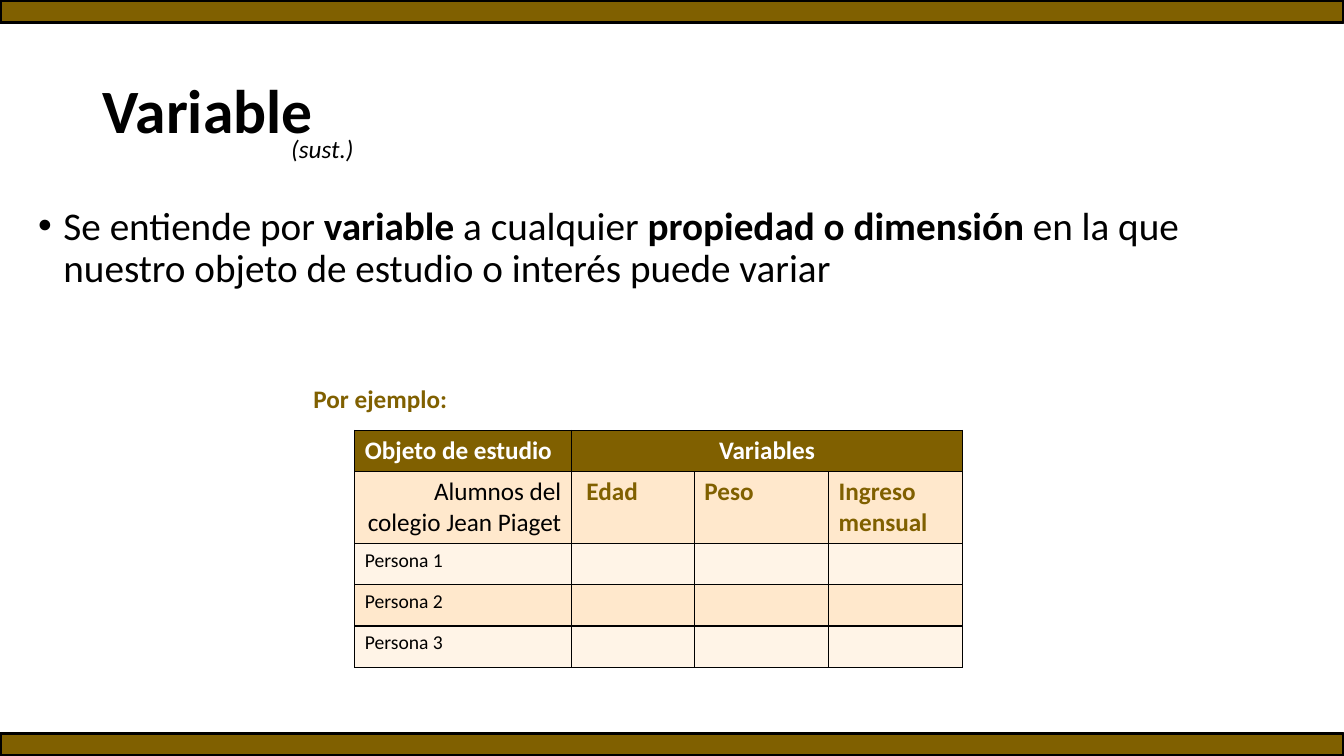
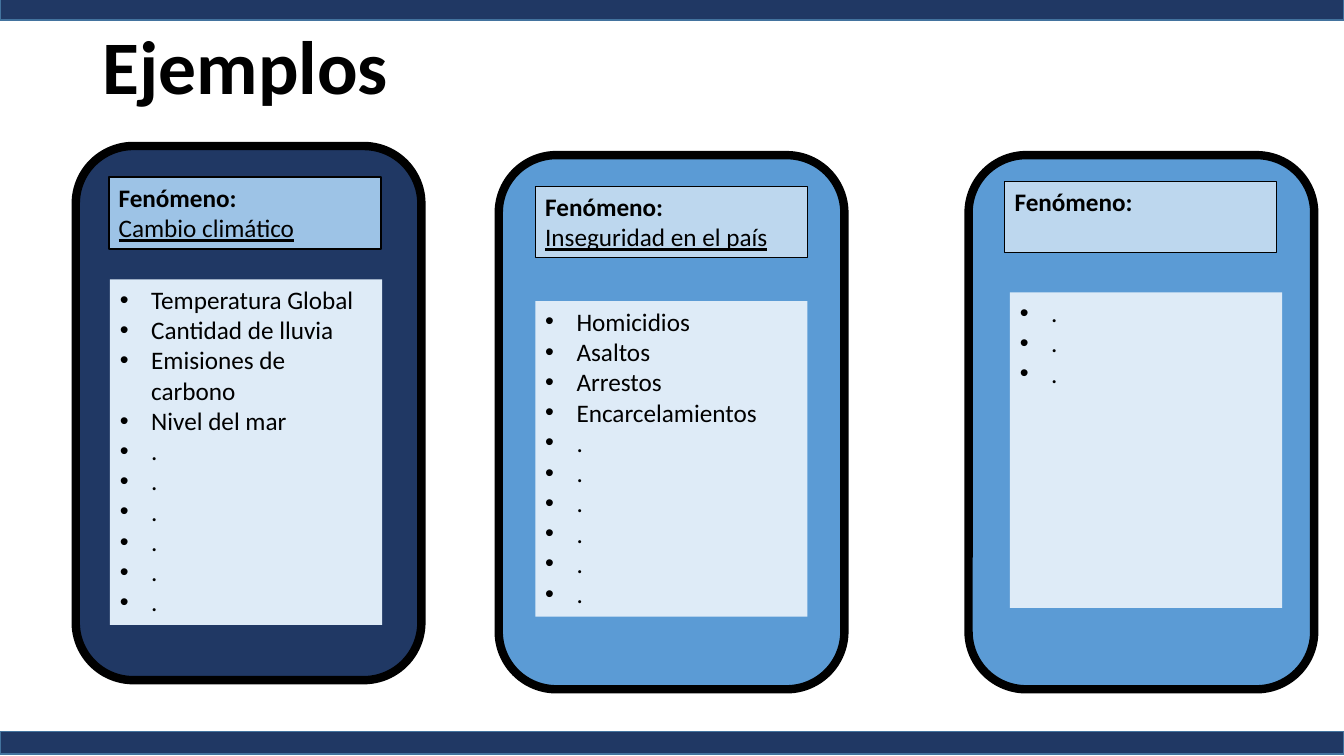
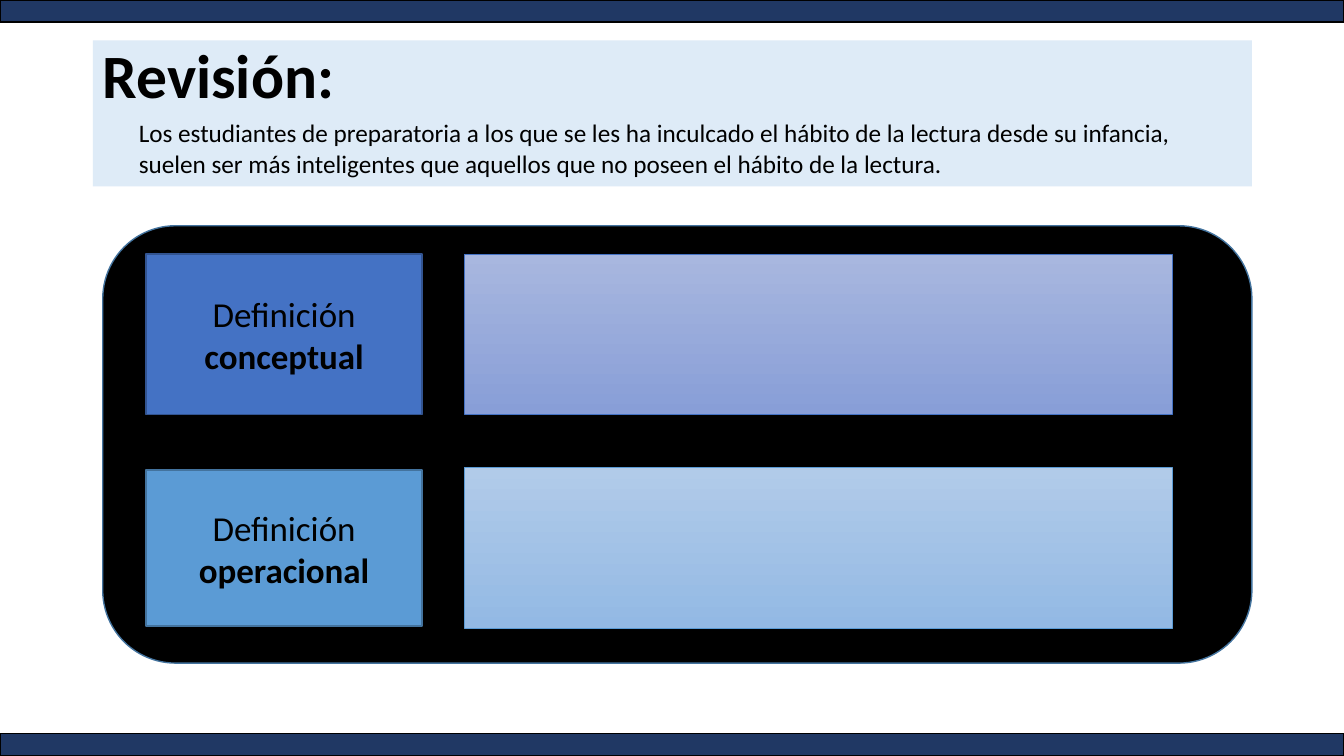
from lxml import etree
from pptx import Presentation
from pptx.dml.color import RGBColor
from pptx.enum.shapes import MSO_SHAPE
from pptx.enum.text import MSO_ANCHOR, PP_ALIGN
from pptx.oxml.ns import qn
from pptx.util import Cm, Pt

RECTANGLE, ROUNDED = MSO_SHAPE.RECTANGLE, MSO_SHAPE.ROUNDED_RECTANGLE
TOP, MIDDLE = MSO_ANCHOR.TOP, MSO_ANCHOR.MIDDLE
LEFT, CENTER, RIGHT = PP_ALIGN.LEFT, PP_ALIGN.CENTER, PP_ALIGN.RIGHT
FONT = "Calibri"
COLORS = {
    "black": "000000", "white": "FFFFFF", "brown": "806000",
    "peach": "FFE8CC", "cream": "FFF4E7", "navy": "203864",
    "blue": "5B9BD5", "royal": "4472C4", "sky": "9DC3E6",
    "pale": "BDD7EE", "ice": "DEEBF7", "steel": "43739E", "indigo": "325491",
    "lilac": "A8B7DF", "violet": "889ED7", "mist": "B1CBE9", "azure": "93B9E4",
}
RGB = {name: RGBColor.from_string(value) for name, value in COLORS.items()}


def add_box(page, place, fill=None, line=None, width=1, kind=RECTANGLE):
    box = page.shapes.add_shape(kind, *[Cm(length) for length in place])
    box.shadow.inherit = False
    if isinstance(fill, tuple):
        box.fill.gradient()
        box.fill.gradient_angle = 270
        for stop, name in zip(box.fill.gradient_stops, fill):
            stop.color.rgb = RGB[name]
    elif fill:
        box.fill.solid()
        box.fill.fore_color.rgb = RGB[fill]
    else:
        box.fill.background()
    if line:
        box.line.color.rgb = RGB[line]
        box.line.width = Pt(width)
    else:
        box.line.fill.background()
    return box


def write(frame, paragraphs, size=18, color="black", style="", anchor=TOP,
          align=LEFT, spacing=None, indent=0):
    frame.word_wrap = True
    frame.vertical_anchor = anchor
    for number, runs in enumerate(paragraphs):
        para = frame.add_paragraph() if number else frame.paragraphs[0]
        para.alignment = align
        if spacing:
            para.line_spacing = spacing
        if indent:
            properties = para._p.get_or_add_pPr()
            properties.set("marL", str(Cm(indent)))
            properties.set("indent", str(-Cm(indent)))
            etree.SubElement(properties, qn("a:buFont"), typeface="Arial")
            etree.SubElement(properties, qn("a:buChar"), char="•")
        para.font.name = FONT
        para.font.size = Pt(size)
        para.font.color.rgb = RGB[color]
        para.font.bold = "b" in style
        para.font.italic = "i" in style
        for text, emphasis in runs:
            span = para.add_run()
            span.text = text
            if "b" in emphasis:
                span.font.bold = True
            if "u" in emphasis:
                span.font.underline = True


deck = Presentation()
deck.slide_width, deck.slide_height = Cm(33.87), Cm(19.05)

BAND_HEIGHT = 0.56
TITLES = [
    ("Variable", 44, (2.34, 1.02, 29.21, 3.68), None, MIDDLE),
    ("Ejemplos", 54, (2.34, 0.61, 29.21, 2.34), None, MIDDLE),
    ("Revisión:", 44, (2.34, 1.02, 29.21, 3.68), "ice", TOP),
]
TITLES[1] = ("Ejemplos", 54, (2.34, 0.61, 29.21, 2.34), None, TOP)
BANDS = [("brown", "black", 2.25, 0), ("navy", "steel", 1, -0.05), ("navy", "black", 1, 0)]
pages = []
for (title, size, place, back, anchor), (fill, line, width, shift) in zip(TITLES, BANDS):
    page = deck.slides.add_slide(deck.slide_layouts[6])
    box = add_box(page, place, back)
    write(box.text_frame, [[(title, "")]], size, style="b", anchor=anchor, spacing=0.9)
    for top in (0, 19.05 - BAND_HEIGHT):
        add_box(page, (0, top + shift, 33.87, BAND_HEIGHT), fill, line, width)
    pages.append(page)
variable_page, examples_page, review_page = pages

definition = [
    ("Se entiende por ", ""), ("variable ", "b"), ("a cualquier ", ""),
    ("propiedad o dimensión ", "b"),
    ("en la que nuestro objeto de estudio o interés puede variar", ""),
]
box = add_box(variable_page, (0.71, 5.08, 32.31, 12.09))
write(box.text_frame, [definition], 28, spacing=0.9, indent=0.64)
box = add_box(variable_page, (7.09, 3.23, 3.63, 1.02))
write(box.text_frame, [[("(sust.)", "")]], style="i")
box = add_box(variable_page, (7.65, 9.53, 6.3, 1.02))
write(box.text_frame, [[("Por ejemplo:", "")]], color="brown", style="b")

ROWS = [
    ["Objeto de estudio", "Variables", "", ""],
    ["Alumnos del colegio Jean Piaget", "Edad", "Peso", "Ingreso mensual"],
    ["Persona 1", "", "", ""],
    ["Persona 2", "", "", ""],
    ["Persona 3", "", "", ""],
]
ROW_HEIGHTS = [1.04, 1.8, 1.04, 1.04, 1.04]
ROW_FILLS = ["brown", "peach", "cream", "peach", "cream"]
COLUMN_WIDTHS = [5.46, 3.1, 3.38, 3.38]
table = variable_page.shapes.add_table(
    len(ROWS), len(COLUMN_WIDTHS), Cm(8.94), Cm(10.85),
    Cm(sum(COLUMN_WIDTHS)), Cm(sum(ROW_HEIGHTS))).table
table.first_row = table.horz_banding = False
for column, width in zip(table.columns, COLUMN_WIDTHS):
    column.width = Cm(width)
for row, height in zip(table.rows, ROW_HEIGHTS):
    row.height = Cm(height)
for row, texts in enumerate(ROWS):
    for column, text in enumerate(texts):
        cell = table.cell(row, column)
        for side in ("a:lnL", "a:lnR", "a:lnT", "a:lnB"):
            border = etree.SubElement(cell._tc.get_or_add_tcPr(), qn(side), w=str(Pt(1)))
            paint = etree.SubElement(border, qn("a:solidFill"))
            etree.SubElement(paint, qn("a:srgbClr"), val=COLORS["black"])
        cell.fill.solid()
        cell.fill.fore_color.rgb = RGB[ROW_FILLS[row]]
        if not text:
            continue
        if row == 0:
            look = {"color": "white", "style": "b", "align": CENTER if column else LEFT}
        elif row == 1:
            look = {"color": "brown", "style": "b"} if column else {"align": RIGHT}
        else:
            look = {"size": 14}
        write(cell.text_frame, [[(text, "")]], **look)
table.cell(0, 1).merge(table.cell(0, 3))
table.cell(1, 1).margin_left = Cm(0.38)

CARDS = [
    ((1.91, 3.68), "navy", (2.74, 4.47), "sky", 1.5, "Cambio climático",
     (2.77, 7.04, 6.86, 8.71),
     ["Temperatura Global", "Cantidad de lluvia", "Emisiones de carbono", "Nivel del mar"], 6),
    ((12.57, 3.91), "blue", (13.49, 4.7), "pale", 0.75, "Inseguridad en el país",
     (13.49, 7.59, 6.86, 7.95),
     ["Homicidios", "Asaltos", "Arrestos", "Encarcelamientos"], 6),
    ((24.41, 3.91), "blue", (25.32, 4.57), "pale", 0.75, "",
     (25.45, 7.37, 6.86, 7.95), [], 3),
]
for corner, fill, head_corner, head_fill, head_line, topic, list_place, items, dots in CARDS:
    add_box(examples_page, (*corner, 8.71, 13.46), fill, "black", 6, ROUNDED)
    heading = [[("Fenómeno:", "b")]]
    if topic:
        heading.append([(topic, "u")])
    box = add_box(examples_page, (*head_corner, 6.86, 1.8), head_fill, "black", head_line)
    write(box.text_frame, heading)
    box = add_box(examples_page, list_place, "ice")
    write(box.text_frame, [[(item, "")] for item in items + ["."] * dots], indent=0.79)

statement = (
    "Los estudiantes de preparatoria a los que se les ha inculcado el hábito de la lectura "
    "desde su infancia, suelen ser más inteligentes que aquellos que no poseen el hábito "
    "de la lectura."
)
box = add_box(review_page, (3.25, 2.84, 26.72, 1.8))
write(box.text_frame, [[(statement, "")]])
add_box(review_page, (2.59, 5.69, 28.96, 11.02), "black", "steel", 1, ROUNDED)
DEFINITIONS = [
    ("conceptual", 6.4, 4.04, "royal", "indigo", 6.4, ("lilac", "violet")),
    ("operacional", 11.84, 3.94, "blue", "steel", 11.79, ("mist", "azure")),
]
for name, top, height, fill, line, answer_top, shades in DEFINITIONS:
    box = add_box(review_page, (3.68, top, 6.96, height), fill, line)
    write(box.text_frame, [[("Definición ", ""), (name, "b")]], 25, anchor=MIDDLE, align=CENTER)
    add_box(review_page, (11.71, answer_top, 17.83, 4.04), shades, fill, 0.5)

deck.save("out.pptx")
